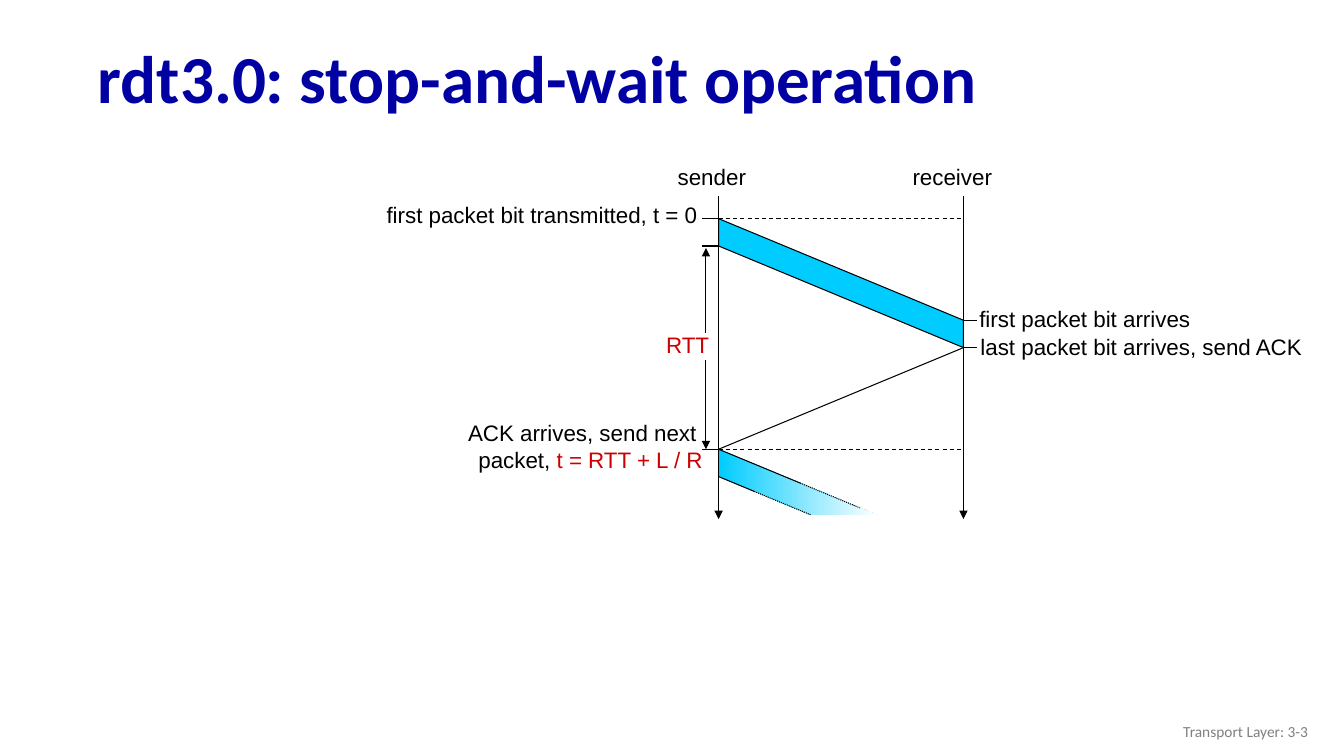
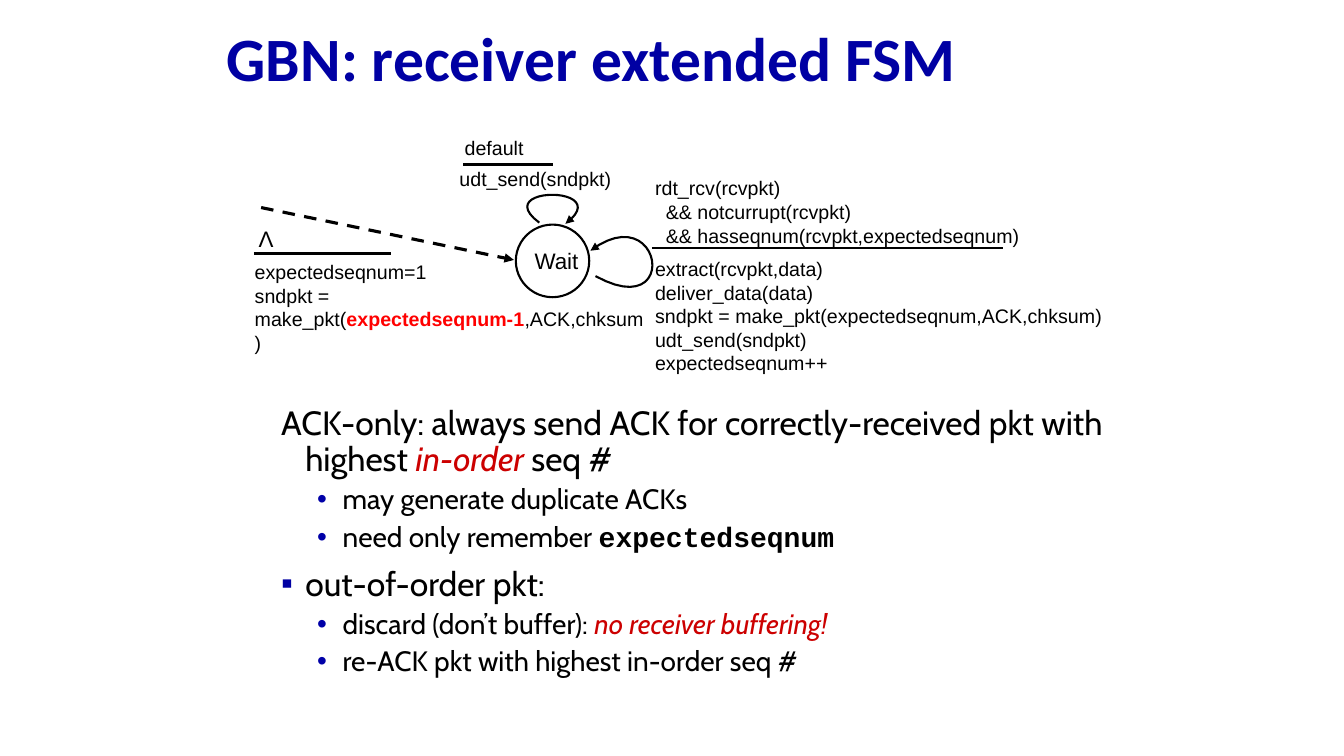
from lxml.etree import SubElement
from pptx import Presentation
from pptx.dml.color import RGBColor
from pptx.enum.dml import MSO_LINE
from pptx.enum.shapes import MSO_CONNECTOR, MSO_SHAPE
from pptx.enum.text import MSO_ANCHOR, MSO_AUTO_SIZE, PP_ALIGN
from pptx.oxml.ns import qn
from pptx.util import Cm, Pt

BLACK, WHITE, NAVY, CYAN = "000000", "FFFFFF", "0000A3", "00CCFF"
RED, BRIGHT_RED, GREY, BULLET_BLUE = "CC0000", "FF0000", "808080", "0000A8"
TITLE_ONLY, TITLE_AND_BODY = 5, 1


def rgb(color):
    return RGBColor.from_string(color)


class Deck:
    """Shared style plus the slide being built; all lengths in centimetres."""

    def __init__(self):
        self.prs = Presentation()
        self.prs.slide_width, self.prs.slide_height = Cm(33.87), Cm(19.05)
        self.slide = None

    def new_slide(self, layout, title, box, size):
        self.slide = self.prs.slides.add_slide(self.prs.slide_layouts[layout])
        heading = self.slide.shapes.title
        self.place(heading, box)
        frame = heading.text_frame
        frame.auto_size = MSO_AUTO_SIZE.NONE
        frame.vertical_anchor = MSO_ANCHOR.MIDDLE
        paragraph = frame.paragraphs[0]
        self.add_text(paragraph, title, size, "Calibri", NAVY, bold=True)
        paragraph.line_spacing = 0.9

    def place(self, shape, box):
        shape.left, shape.top, shape.width, shape.height = map(Cm, box)

    def add_text(self, paragraph, parts, size, face="Arial", color=BLACK,
                 align=PP_ALIGN.LEFT, bold=False):
        """parts is a string, or a list of strings and (string, style) pairs."""
        paragraph.alignment = align
        font = paragraph.font
        font.size, font.name, font.bold = Pt(size), face, bold
        font.color.rgb = rgb(color)
        for part in [parts] if isinstance(parts, str) else parts:
            text, style = (part, {}) if isinstance(part, str) else part
            run = paragraph.add_run()
            run.text = text
            for key, value in style.items():
                if key == "color":
                    run.font.color.rgb = rgb(value)
                elif key == "name":
                    run.font.name = value
                elif key == "bold":
                    run.font.bold = value
                else:
                    run.font.italic = value

    def label(self, box, lines, size, wrap=True, anchor=MSO_ANCHOR.TOP, **style):
        frame = self.slide.shapes.add_textbox(*map(Cm, box)).text_frame
        frame.word_wrap = wrap
        frame.vertical_anchor = anchor
        for i, parts in enumerate(lines):
            paragraph = frame.add_paragraph() if i else frame.paragraphs[0]
            self.add_text(paragraph, parts, size, **style)
        return frame

    def footer(self, text):
        self.label((25.6, 17.91, 7.62, 1.02), [text], 11, face="Calibri",
                   color=GREY, align=PP_ALIGN.RIGHT, anchor=MSO_ANCHOR.MIDDLE)

    def stroke(self, shape, width, dash=None, arrow=False):
        line = shape.line
        line.color.rgb = rgb(BLACK)
        line.width = Pt(width)
        if dash:
            line.dash_style = dash
        if arrow:
            ln = shape._element.spPr.find(qn("a:ln"))
            SubElement(ln, qn("a:tailEnd"), type="triangle")

    def line(self, start, end, width=0.75, dash=None, arrow=False):
        connector = self.slide.shapes.add_connector(
            MSO_CONNECTOR.STRAIGHT, *map(Cm, (*start, *end)))
        self.stroke(connector, width, dash, arrow)
        SubElement(connector._element.spPr, qn("a:effectLst"))

    def outline(self, points, closed=True):
        corners = [(Cm(x), Cm(y)) for x, y in points]
        builder = self.slide.shapes.build_freeform(*corners[0], scale=1.0)
        builder.add_line_segments(corners[1:], close=closed)
        shape = builder.convert_to_shape()
        shape.shadow.inherit = False
        return shape

    def loop(self, p0, p1, p2, p3, steps=24):
        """Arrow along a cubic curve."""
        points = []
        for i in range(steps + 1):
            t = i / steps
            weights = ((1 - t) ** 3, 3 * t * (1 - t) ** 2, 3 * t * t * (1 - t), t ** 3)
            points.append(tuple(sum(w * p[axis] for w, p in zip(weights, (p0, p1, p2, p3)))
                                for axis in (0, 1)))
        curve = self.outline(points, closed=False)
        curve.fill.background()
        self.stroke(curve, 1.5, arrow=True)

    def state(self, box, name):
        circle = self.slide.shapes.add_shape(MSO_SHAPE.OVAL, *map(Cm, box))
        circle.shadow.inherit = False
        circle.fill.solid()
        circle.fill.fore_color.rgb = rgb(WHITE)
        self.stroke(circle, 1.5)
        frame = circle.text_frame
        frame.word_wrap = False
        frame.margin_left, frame.margin_right = Cm(0.2), Cm(0)
        self.add_text(frame.paragraphs[0], name, 16, align=PP_ALIGN.CENTER)

    def bullets(self, box, items):
        """items: (level, bullet or None, parts)."""
        body = self.slide.placeholders[1]
        self.place(body, box)
        frame = body.text_frame
        frame.auto_size = MSO_AUTO_SIZE.NONE
        for i, (level, bullet, parts) in enumerate(items):
            paragraph = frame.add_paragraph() if i else frame.paragraphs[0]
            paragraph.level = level
            paragraph.line_spacing = 0.9
            paragraph.space_before = Pt((10, 5)[level])
            props = paragraph._p.get_or_add_pPr()
            props.set("marL", str(Cm((0.99, 1.93)[level])))
            props.set("indent", str(-Cm((0.61, 0.64)[level])))
            if bullet:
                tint = SubElement(props, qn("a:buClr"))
                SubElement(tint, qn("a:srgbClr"), val=(NAVY, BULLET_BLUE)[level])
                SubElement(props, qn("a:buFont"), typeface="Arial")
                SubElement(props, qn("a:buChar"), char=bullet)
            else:
                SubElement(props, qn("a:buNone"))
            self.add_text(paragraph, parts, (24, 20)[level], "Cabin")


def stop_and_wait(deck):
    deck.new_slide(TITLE_ONLY, "rdt3.0: stop-and-wait operation",
                   (2.21, 0.81, 30.84, 2.49), 48)

    # Places of the two hosts and moments on the time axis
    sender, receiver = 18.11, 24.28
    trip, packet = 2.56, 0.69
    start = 5.51
    sent = start + packet
    first_arrives, last_arrives = start + trip, sent + trip
    ack = last_arrives + trip
    end = 12.98
    slope = trip / (receiver - sender)

    # Time axes
    for x, name, box in ((sender, "sender", (16.59, 3.99, 2.46, 0.97)),
                         (receiver, "receiver", (22.63, 3.99, 2.62, 0.97))):
        deck.line((x, 4.94), (x, end + 0.1), arrow=True)
        deck.label(box, [name], 16, align=PP_ALIGN.RIGHT)
    for y in (start, ack):
        deck.line((sender, y), (receiver - 0.05, y), dash=MSO_LINE.DASH)

    # First packet and its ACK
    first = deck.outline([(sender, start), (receiver, first_arrives),
                          (receiver, last_arrives), (sender, sent)])
    first.fill.solid()
    first.fill.fore_color.rgb = rgb(CYAN)
    deck.stroke(first, 0.75)
    deck.line((receiver, last_arrives), (sender, ack))

    # Next packet, fading out at the end of the axis
    def edge_x(y, departure):
        return sender + (y - departure) / slope

    following = deck.outline([(sender, ack), (edge_x(end, ack), end),
                              (edge_x(end, ack + packet), end), (sender, ack + packet)])
    following.fill.gradient()
    following.fill.gradient_angle = 0
    for stop, color in zip(following.fill.gradient_stops, (CYAN, WHITE)):
        stop.color.rgb = rgb(color)
    following.line.fill.background()
    for departure, solid, dotted in ((ack, 2.06, 3.56), (ack + packet, 0.9, 2.34)):
        middle = (sender + solid, departure + solid * slope)
        deck.line((sender, departure), middle)
        deck.line(middle, (sender + dotted, departure + dotted * slope),
                  dash=MSO_LINE.ROUND_DOT)

    # Ticks
    for y in (start, sent, ack):
        deck.line((sender, y), (sender - 0.42, y))
    for y in (first_arrives, last_arrives):
        deck.line((receiver, y), (receiver + 0.33, y))

    # Round-trip time
    rtt = 17.79
    deck.line((rtt, 8.38), (rtt, sent + 0.05), arrow=True)
    deck.line((rtt, 9.07), (rtt, ack), arrow=True)
    deck.label((15.88, 8.23, 2.24, 0.94), ["RTT"], 16, color=RED, align=PP_ALIGN.RIGHT)

    # Event labels
    deck.label((8.86, 4.95, 8.97, 0.99), ["first packet bit transmitted, t = 0"],
               16, align=PP_ALIGN.RIGHT)
    deck.label((10.49, 10.44, 7.47, 1.75),
               ["ACK arrives, send next ", ["packet, ", ("t = RTT + L / R", {"color": RED})]],
               16, align=PP_ALIGN.RIGHT)
    deck.label((24.43, 7.57, 6.73, 0.99), ["first packet bit arrives"], 16)
    deck.label((24.46, 8.28, 8.66, 1.57), ["last packet bit arrives, send ACK"], 16)
    deck.footer("Transport Layer: 3-3")


def gbn_receiver(deck):
    deck.new_slide(TITLE_AND_BODY, "GBN: receiver extended FSM",
                   (5.46, 0.58, 21.59, 1.96), 44)
    emphasis = {"color": RED, "italic": True}
    deck.bullets((6.45, 10.11, 22.63, 7.92), [
        (0, None, ["ACK-only: always send ACK for correctly-received pkt with highest ",
                   ("in-order", emphasis), " seq #"]),
        (1, "•", "may generate duplicate ACKs"),
        (1, "•", ["need only remember ",
                  ("expectedseqnum", {"name": "Courier New", "bold": True})]),
        (0, "▪", "out-of-order pkt:"),
        (1, "•", ["discard (don’t buffer): ", ("no receiver buffering!", emphasis)]),
        (1, "•", "re-ACK pkt with highest in-order seq #"),
    ])

    # State and transitions
    deck.state((13, 5.66, 1.85, 1.83), "Wait")
    deck.line((6.58, 5.23), (12.95, 6.55), 2.25, MSO_LINE.DASH, arrow=True)
    deck.loop((13.59, 5.61), (12.32, 4.67), (15.54, 4.67), (14.25, 5.64))
    deck.loop((15.01, 6.96), (17.17, 8.15), (16.69, 4.95), (14.88, 6.32))

    # Default transition
    deck.label((11.46, 3.3, 2.2, 0.69), ["default"], 14)
    deck.line((11.68, 4.14), (13.94, 4.14), 2.25)
    deck.label((11.33, 4.09, 4.5, 0.86), ["udt_send(sndpkt)"], 14)

    # Initial transition
    deck.label((6.27, 5.54, 0.89, 0.94), ["Λ"], 16, wrap=False)
    deck.line((6.4, 6.38), (9.86, 6.38), 2.25)
    deck.label((6.17, 6.43, 10.34, 2.72),
               ["expectedseqnum=1", "sndpkt =",
                ["make_pkt(", ("expectedseqnum-1", {"color": BRIGHT_RED, "bold": True}),
                 ",ACK,chksum)"]], 14)

    # In-order packet transition
    event = deck.label((16.26, 4.32, 9.91, 1.57),
                       ["rdt_rcv(rcvpkt)", "&& notcurrupt(rcvpkt)",
                        "&& hasseqnum(rcvpkt,expectedseqnum)"], 14)
    for condition in event.paragraphs[1:]:
        condition._p.get_or_add_pPr().set("marL", str(Cm(0.27)))
    deck.line((16.43, 6.25), (25.27, 6.25), 1.5)
    deck.label((16.26, 6.35, 11.99, 2.39),
               ["extract(rcvpkt,data)", "deliver_data(data)",
                "sndpkt = make_pkt(expectedseqnum,ACK,chksum)",
                "udt_send(sndpkt)", "expectedseqnum++"], 14)


def main():
    deck = Deck()
    stop_and_wait(deck)
    gbn_receiver(deck)
    deck.prs.save("out.pptx")


if __name__ == "__main__":
    main()
